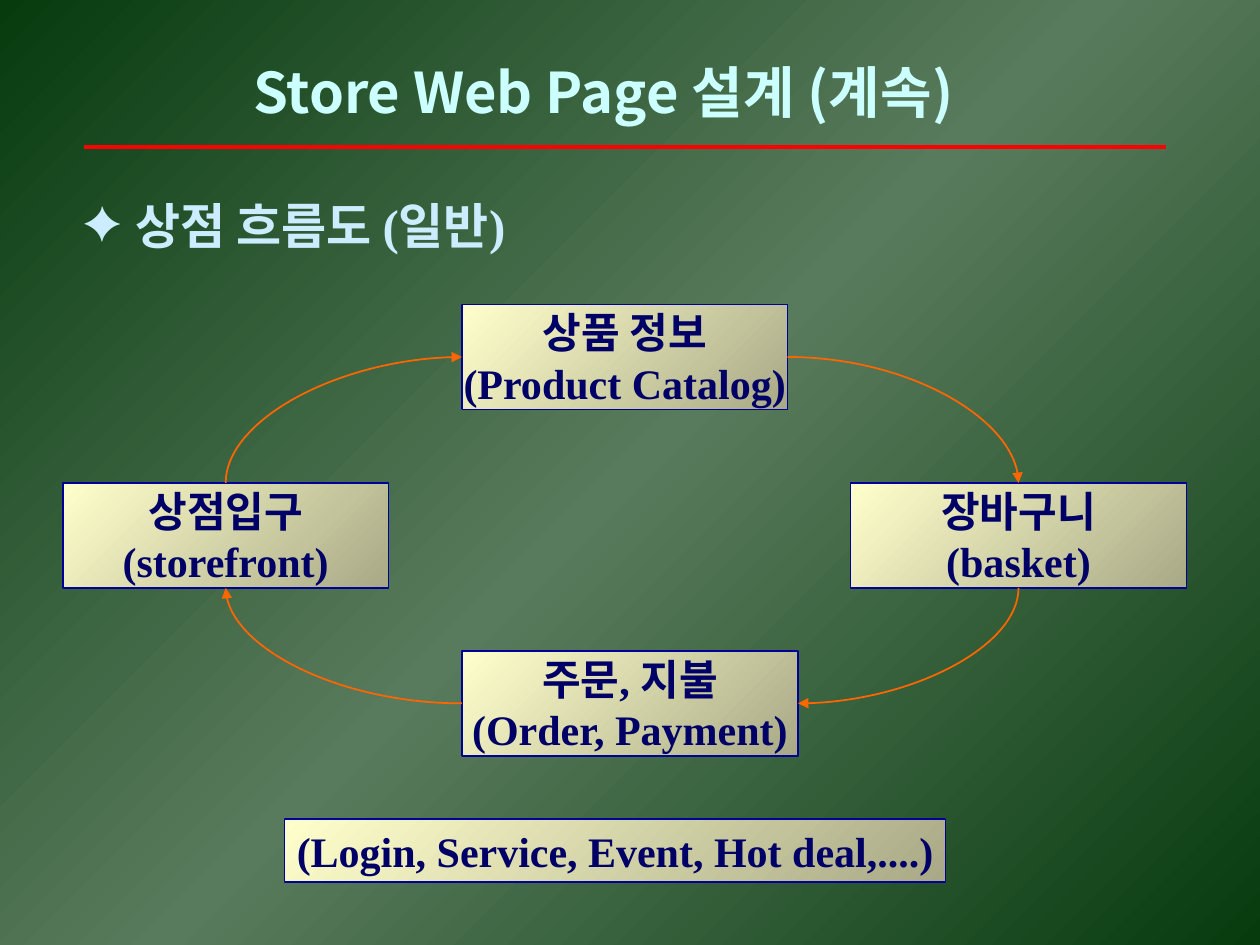
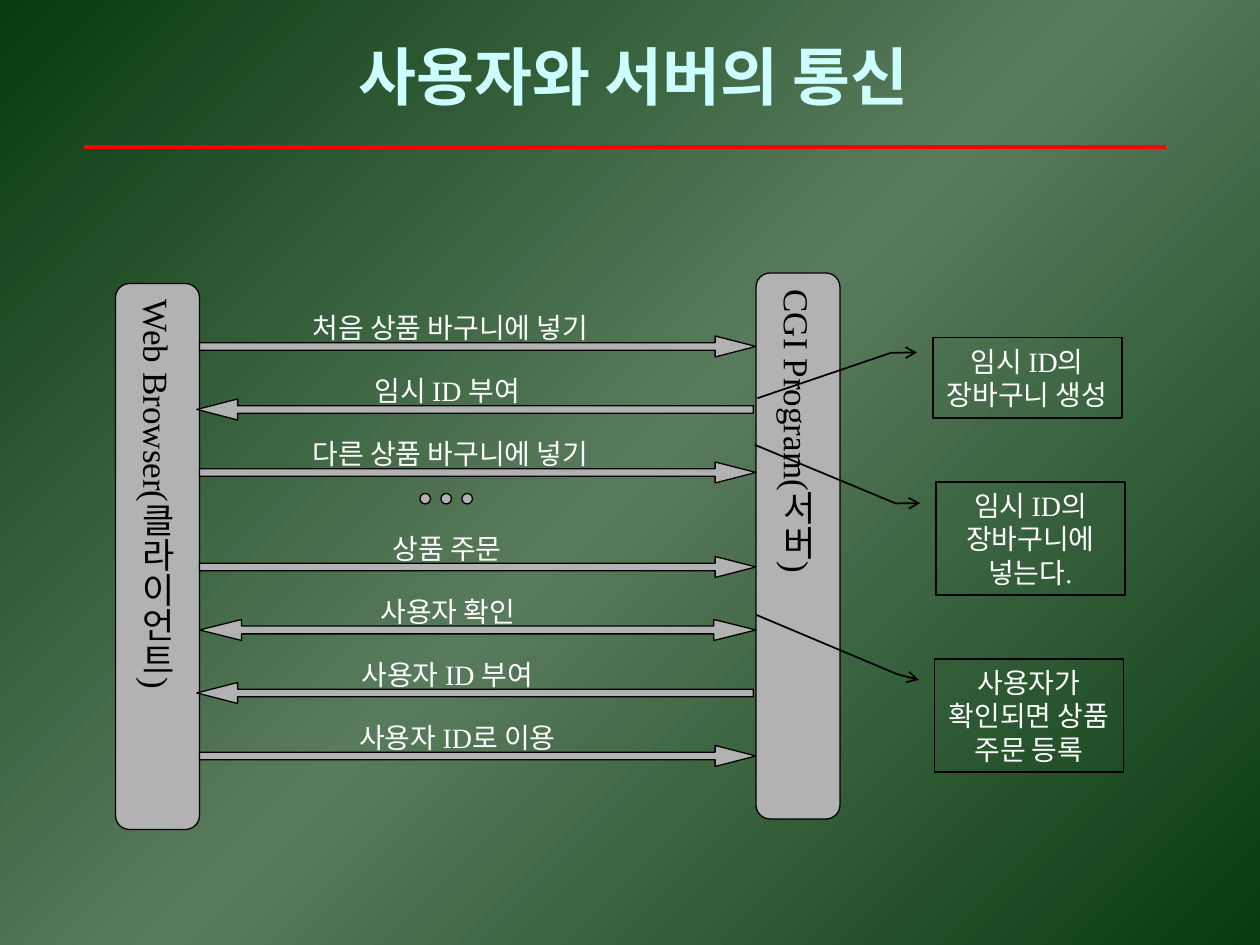
"""Build two slides on a web store: the shop flow and the user-server exchange."""
from copy import deepcopy

from lxml import etree
from pptx import Presentation
from pptx.dml.color import RGBColor
from pptx.enum.shapes import MSO_CONNECTOR, MSO_SHAPE
from pptx.enum.text import MSO_ANCHOR, MSO_AUTO_SIZE, PP_ALIGN
from pptx.oxml.ns import qn
from pptx.util import Pt

LEFT, CENTER = PP_ALIGN.LEFT, PP_ALIGN.CENTER
TOP, MIDDLE = MSO_ANCHOR.TOP, MSO_ANCHOR.MIDDLE
RECTANGLE, OVAL = MSO_SHAPE.RECTANGLE, MSO_SHAPE.OVAL
BAR, CALLOUT = MSO_SHAPE.FLOWCHART_ALTERNATE_PROCESS, MSO_SHAPE.LINE_CALLOUT_2
RIGHT, BACK, BOTH = MSO_SHAPE.RIGHT_ARROW, MSO_SHAPE.LEFT_ARROW, MSO_SHAPE.LEFT_RIGHT_ARROW
STRAIGHT, CURVE = MSO_CONNECTOR.STRAIGHT, MSO_CONNECTOR.CURVE
SITE_TOP, SITE_LEFT, SITE_BOTTOM, SITE_RIGHT = range(4)

SERIF, SANS = "Times New Roman", "Noto Sans CJK KR"
COLORS = {
    "dark": "073B0E", "green": "597B5D", "title": "CCFFFF", "heading": "CCECFF",
    "rule": "FF0000", "sand": "A9A987", "cream": "FFFFCC", "border": "000099",
    "navy": "000066", "orange": "FF6600", "gray": "B2B2B2", "black": "000000",
    "white": "FFFFFF",
}
GRADIENT_ANGLE = 135

FLOW_TITLE = ("Store Web Page 설계 (계속)", (137.5, 28.8, 463, 46), 32, LEFT)
FLOW_HEADING = "상점 흐름도 (일반)"
STEPS = {
    "storefront": ("상점입구\n(storefront)", (36, 276, 186, 60)),
    "catalog": ("상품 정보\n(Product Catalog)", (264, 174, 186, 60)),
    "basket": ("장바구니\n(basket)", (486, 276, 192, 60)),
    "order": ("주문, 지불\n(Order, Payment)", (264, 372, 192, 60)),
}
ARCS = [
    ("catalog", SITE_LEFT, "storefront", SITE_TOP, "headEnd"),
    ("catalog", SITE_RIGHT, "basket", SITE_TOP, "tailEnd"),
    ("order", SITE_RIGHT, "basket", SITE_BOTTOM, "headEnd"),
    ("order", SITE_LEFT, "storefront", SITE_BOTTOM, "tailEnd"),
]
EXTRAS = ("(Login, Service, Event, Hot deal,....)", (162.5, 468, 378, 36))

EXCHANGE_TITLE = ("사용자와 서버의 통신", (189.4, 18, 345, 50.4), 36, CENTER)
PARTIES = [("Web Browser(클라이언트)", (66, 162, 48, 312)),
           ("CGI Program(서버)", (432, 156, 48, 312))]
MESSAGES = [
    ("처음 상품 바구니에 넣기", RIGHT, 257.4),
    ("임시 ID 부여", BACK, 255.6),
    ("다른 상품 바구니에 넣기", RIGHT, 257.4),
    None,
    ("상품 주문", RIGHT, 255.6),
    ("사용자 확인", BOTH, 256),
    ("사용자 ID 부여", BACK, 255.6),
    ("사용자 ID로 이용", RIGHT, 261.4),
]
ARROWS = {RIGHT: (114, (0.361, 1.945)), BACK: (112.5, (0.361, 1.945)),
          BOTH: (114, (0.375, 2.008))}
FIRST_ARROW, ARROW_STEP, ARROW_WIDTH, LABEL_WIDTH = 192, 36, 318, 180
DOT_LEFT, DOT_STEP, DOT_COUNT = 240, 12, 3
NOTES = [
    ("임시 ID의 장바구니 생성", (533, 192.8, 108, 46),
     (0.188, -0.083, 0.19, -0.219, 0.756, -0.928)),
    ("임시 ID의 장바구니에 넣는다.", (534.8, 275.4, 108, 64.8),
     (0.188, -0.083, 0.19, -0.213, -0.328, -0.959)),
    ("사용자가 확인되면 상품 주문 등록", (534, 376.4, 108, 64.8),
     (0.188, -0.083, 0.135, -0.2, -0.386, -0.942)),
]


def rgb(name):
    return RGBColor.from_string(COLORS[name])


def points(values):
    return [Pt(value) for value in values]


def paint_gradient(fill, owner, names):
    fill.gradient()
    fill.gradient_angle = GRADIENT_ANGLE
    stop_list = next(owner.element.iter(qn("a:gsLst")))
    while len(stop_list) < len(names):
        stop_list.append(deepcopy(stop_list[0]))
    for index, (stop, name) in enumerate(zip(fill.gradient_stops, names)):
        stop.color.rgb = rgb(name)
        stop_list[index].set("pos", str(100000 * index // (len(names) - 1)))


def write(shape, text, size, color, font=SERIF, bold=False, align=CENTER,
          anchor=MIDDLE, wrap=False):
    frame = shape.text_frame
    frame.text = text
    frame.word_wrap = wrap
    frame.auto_size = MSO_AUTO_SIZE.NONE
    frame.vertical_anchor = anchor
    for para in frame.paragraphs:
        para.alignment = align
        for span in para.runs:
            span.font.size = Pt(size)
            span.font.bold = bold
            span.font.color.rgb = rgb(color)
            span.font.name = font
            etree.SubElement(span.font._element, qn("a:ea"), typeface=SANS)


def add_box(page, kind, place, fill, border, width=0.75, adjust=()):
    box = page.shapes.add_shape(kind, *points(place))
    box.shadow.inherit = False
    for index, value in enumerate(adjust):
        box.adjustments[index] = value
    if fill is None:
        box.fill.background()
    elif isinstance(fill, tuple):
        paint_gradient(box.fill, box, fill)
    else:
        box.fill.solid()
        box.fill.fore_color.rgb = rgb(fill)
    box.line.color.rgb = rgb(border)
    box.line.width = Pt(width)
    return box


def add_line(page, kind, ends, color, width):
    line = page.shapes.add_connector(kind, *points(ends))
    line.line.color.rgb = rgb(color)
    line.line.width = Pt(width)
    etree.SubElement(line.element.spPr, qn("a:effectLst"))
    return line


def add_arrowhead(shape, end, kind):
    outline = shape.element.spPr.find(qn("a:ln"))
    etree.SubElement(outline, qn("a:" + end), type=kind)


def add_page(deck, title, place, size, align):
    page = deck.slides.add_slide(deck.slide_layouts[5])
    heading = page.shapes.title
    heading.left, heading.top, heading.width, heading.height = points(place)
    write(heading, title, size, "title", SANS, True, align)
    add_line(page, STRAIGHT, (48, 84, 666, 84), "rule", 2.25)
    return page


def add_heading(page, text):
    box = page.shapes.add_textbox(*points((40.3, 108, 276, 41)))
    write(box, text, 28, "heading", bold=True, align=LEFT)
    props = box.text_frame.paragraphs[0]._p.get_or_add_pPr()
    props.set("marL", str(Pt(30)))
    props.set("indent", str(-Pt(30)))
    tint = etree.SubElement(props, qn("a:buClr"))
    etree.SubElement(tint, qn("a:srgbClr"), val=COLORS["heading"])
    etree.SubElement(props, qn("a:buFont"), typeface=SERIF)
    etree.SubElement(props, qn("a:buChar"), char="✦")


def build_flow(deck):
    page = add_page(deck, *FLOW_TITLE)
    add_heading(page, FLOW_HEADING)
    boxes = {}
    for name, (text, place) in STEPS.items():
        boxes[name] = add_box(page, RECTANGLE, place, ("sand", "cream"), "border")
        write(boxes[name], text, 24, "navy", bold=True)
    for start, start_site, end, end_site, head in ARCS:
        arc = add_line(page, CURVE, (0, 0, 0, 0), "orange", 1)
        arc.begin_connect(boxes[start], start_site)
        arc.end_connect(boxes[end], end_site)
        arc.element.spPr.find(qn("a:prstGeom")).set("prst", "curvedConnector2")
        add_arrowhead(arc, head, "triangle")
    text, place = EXTRAS
    extras = add_box(page, RECTANGLE, place, ("sand", "cream"), "border")
    write(extras, text, 24, "navy", bold=True, align=LEFT, anchor=TOP)


def build_exchange(deck):
    page = add_page(deck, *EXCHANGE_TITLE)
    for text, place in PARTIES:
        bar = add_box(page, BAR, place, "gray", "black")
        write(bar, text, 20, "black", wrap=True)
        bar.text_frame._txBody.bodyPr.set("vert", "eaVert")
    top = FIRST_ARROW
    for message in MESSAGES:
        if message is None:
            top -= ARROW_STEP / 2
            for index in range(DOT_COUNT):
                place = (DOT_LEFT + index * DOT_STEP, top, 6, 6)
                add_box(page, OVAL, place, "gray", "black")
        else:
            text, kind, center = message
            left, adjust = ARROWS[kind]
            add_box(page, kind, (left, top, ARROW_WIDTH, 12), "gray", "black", adjust=adjust)
            place = (center - LABEL_WIDTH / 2, top - 18, LABEL_WIDTH, 26.6)
            write(page.shapes.add_textbox(*points(place)), text, 16, "white")
        top += ARROW_STEP
    for text, place, adjust in NOTES:
        note = add_box(page, CALLOUT, place, None, "black", 1, adjust)
        add_arrowhead(note, "headEnd", "arrow")
        write(note, text, 16, "white", wrap=True)


def main():
    deck = Presentation()
    deck.slide_width, deck.slide_height = Pt(720), Pt(540)
    master = deck.slide_master
    paint_gradient(master.background.fill, master, ("dark", "green", "dark"))
    build_flow(deck)
    build_exchange(deck)
    deck.save("out.pptx")


if __name__ == "__main__":
    main()
